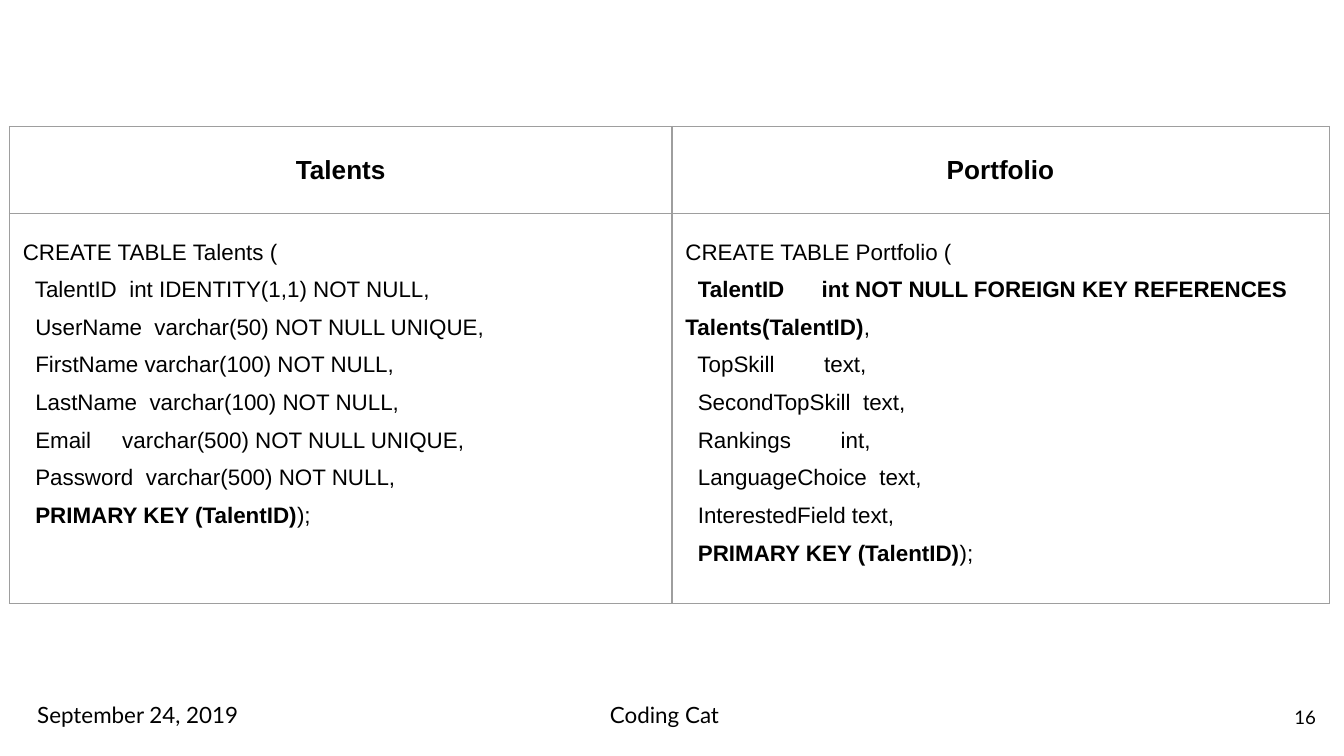
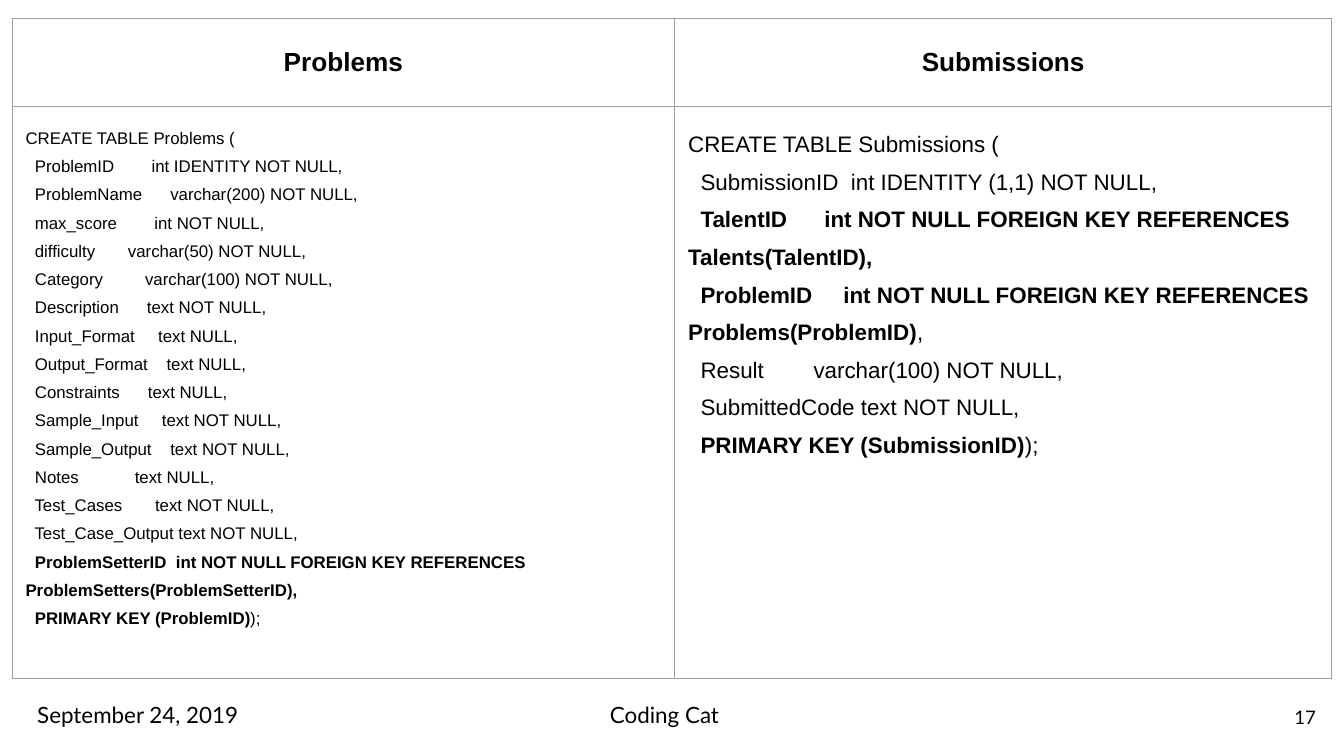
from dataclasses import dataclass

from lxml import etree
from pptx import Presentation
from pptx.dml.color import RGBColor
from pptx.enum.text import MSO_ANCHOR, PP_ALIGN
from pptx.oxml.ns import qn
from pptx.util import Inches, Pt

LEFT, CENTER, RIGHT = PP_ALIGN.LEFT, PP_ALIGN.CENTER, PP_ALIGN.RIGHT
TOP, MIDDLE = MSO_ANCHOR.TOP, MSO_ANCHOR.MIDDLE
BLANK_LAYOUT = 6
WIDTH = 10
HEIGHT = WIDTH * 9 / 16


@dataclass(frozen=True)
class Theme:
    ink: str = "000000"
    paper: str = "FFFFFF"
    grid: str = "9E9E9E"
    grid_width: float = 0.75
    code_font: str = "Arial"
    footer_font: str = "Lato"
    heading_size: int = 14
    code_size: int = 12
    dense_code_size: int = 9
    footer_size: int = 12
    number_size: int = 10
    code_spacing: float = 1.5
    inset: float = 0.1


THEME = Theme()
FOOTER_TOP, FOOTER_HEIGHT = 5.12, 0.43
SCHEMA_COLUMNS = (4.93, 4.89)
SCHEMA_ROWS = (0.65, 1.16)

TALENTS = """CREATE TABLE Talents (
  TalentID  int IDENTITY(1,1) NOT NULL,
  UserName  varchar(50) NOT NULL UNIQUE,
  FirstName varchar(100) NOT NULL,
  LastName  varchar(100) NOT NULL,
  Email     varchar(500) NOT NULL UNIQUE,
  Password  varchar(500) NOT NULL,
  **PRIMARY KEY (TalentID)**);"""

PORTFOLIO = """CREATE TABLE Portfolio (
  **TalentID      int NOT NULL FOREIGN KEY REFERENCES Talents(TalentID)**,
  TopSkill        text,
  SecondTopSkill  text,
  Rankings        int,
  LanguageChoice  text,
  InterestedField text,
  **PRIMARY KEY (TalentID)**);"""

PROBLEMS = """CREATE TABLE Problems (
  ProblemID        int IDENTITY NOT NULL,
  ProblemName      varchar(200) NOT NULL,
  max_score        int NOT NULL,
  difficulty       varchar(50) NOT NULL,
  Category         varchar(100) NOT NULL,
  Description      text NOT NULL,
  Input_Format     text NULL,
  Output_Format    text NULL,
  Constraints      text NULL,
  Sample_Input     text NOT NULL,
  Sample_Output    text NOT NULL,
  Notes            text NULL,
  Test_Cases       text NOT NULL,
  Test_Case_Output text NOT NULL,
  **ProblemSetterID  int NOT NULL FOREIGN KEY REFERENCES ProblemSetters(ProblemSetterID),**
**  PRIMARY KEY (ProblemID)**);"""

SUBMISSIONS = """CREATE TABLE Submissions (
  SubmissionID  int IDENTITY (1,1) NOT NULL,
  **TalentID      int NOT NULL FOREIGN KEY REFERENCES Talents(TalentID),**
**  ProblemID     int NOT NULL FOREIGN KEY REFERENCES Problems(ProblemID)**,
  Result        varchar(100) NOT NULL,
  SubmittedCode text NOT NULL,
  **PRIMARY KEY (SubmissionID)**);"""


def write(frame, text, *, font, size, align=LEFT, spacing=None):
    frame.word_wrap = True
    for index, line in enumerate(text.split("\n")):
        paragraph = frame.paragraphs[0] if index == 0 else frame.add_paragraph()
        paragraph.alignment = align
        if spacing:
            paragraph.line_spacing = spacing
        for part, words in enumerate(line.split("**")):
            if words:
                run = paragraph.add_run()
                run.text = words
                run.font.name = font
                run.font.size = Pt(size)
                run.font.bold = part % 2 == 1
                run.font.color.rgb = RGBColor.from_string(THEME.ink)


def set_insets(holder, anchor):
    holder.margin_left = holder.margin_right = Inches(THEME.inset)
    holder.margin_top = holder.margin_bottom = Inches(THEME.inset)
    holder.vertical_anchor = anchor


def add_footer_text(slide, text, left, width, *, size=THEME.footer_size,
                    align=CENTER, anchor=TOP):
    box = slide.shapes.add_textbox(Inches(left), Inches(FOOTER_TOP),
                                   Inches(width), Inches(FOOTER_HEIGHT))
    set_insets(box.text_frame, anchor)
    write(box.text_frame, text, font=THEME.footer_font, size=size, align=align)


def add_footer(slide, number):
    add_footer_text(slide, str(number), 9.29, 0.6, size=THEME.number_size,
                    align=RIGHT, anchor=MIDDLE)
    add_footer_text(slide, "September 24, 2019", 0.14, 1.77)
    add_footer_text(slide, "Coding Cat", 4.06, 1.77)


def outline_cell(cell):
    properties = cell._tc.get_or_add_tcPr()
    for position, side in enumerate(("a:lnL", "a:lnR", "a:lnT", "a:lnB")):
        line = etree.Element(qn(side), w=str(Pt(THEME.grid_width)))
        fill = etree.SubElement(line, qn("a:solidFill"))
        etree.SubElement(fill, qn("a:srgbClr"), val=THEME.grid)
        properties.insert(position, line)


def format_cell(cell, text, anchor, **text_format):
    set_insets(cell, anchor)
    cell.fill.background()
    outline_cell(cell)
    write(cell.text_frame, text, font=THEME.code_font, **text_format)


def add_schemas(slide, left, top, height, schemas):
    frame = slide.shapes.add_table(
        len(SCHEMA_ROWS), len(schemas), Inches(left), Inches(top),
        Inches(sum(SCHEMA_COLUMNS)), Inches(height))
    table = frame.table
    table.first_row = table.horz_banding = False
    for row, row_height in zip(table.rows, SCHEMA_ROWS):
        row.height = Inches(row_height)
    for column, (heading, code, size) in enumerate(schemas):
        table.columns[column].width = Inches(SCHEMA_COLUMNS[column])
        format_cell(table.cell(0, column), f"**{heading}**", MIDDLE,
                    size=THEME.heading_size, align=CENTER)
        format_cell(table.cell(1, column), code, TOP,
                    size=size, spacing=THEME.code_spacing)
    frame.height = Inches(height)


def add_schema_slide(deck, number, left, top, height, schemas):
    slide = deck.slides.add_slide(deck.slide_layouts[BLANK_LAYOUT])
    slide.background.fill.solid()
    slide.background.fill.fore_color.rgb = RGBColor.from_string(THEME.paper)
    add_footer(slide, number)
    add_schemas(slide, left, top, height, schemas)


def main():
    deck = Presentation()
    deck.slide_width, deck.slide_height = Inches(WIDTH), Inches(HEIGHT)
    add_schema_slide(deck, 16, 0.07, 0.94, 3.52, [
        ("Talents", TALENTS, THEME.code_size),
        ("Portfolio", PORTFOLIO, THEME.code_size),
    ])
    add_schema_slide(deck, 17, 0.09, 0.14, 4.87, [
        ("Problems", PROBLEMS, THEME.dense_code_size),
        ("Submissions", SUBMISSIONS, THEME.code_size),
    ])
    deck.save("out.pptx")


if __name__ == "__main__":
    main()
